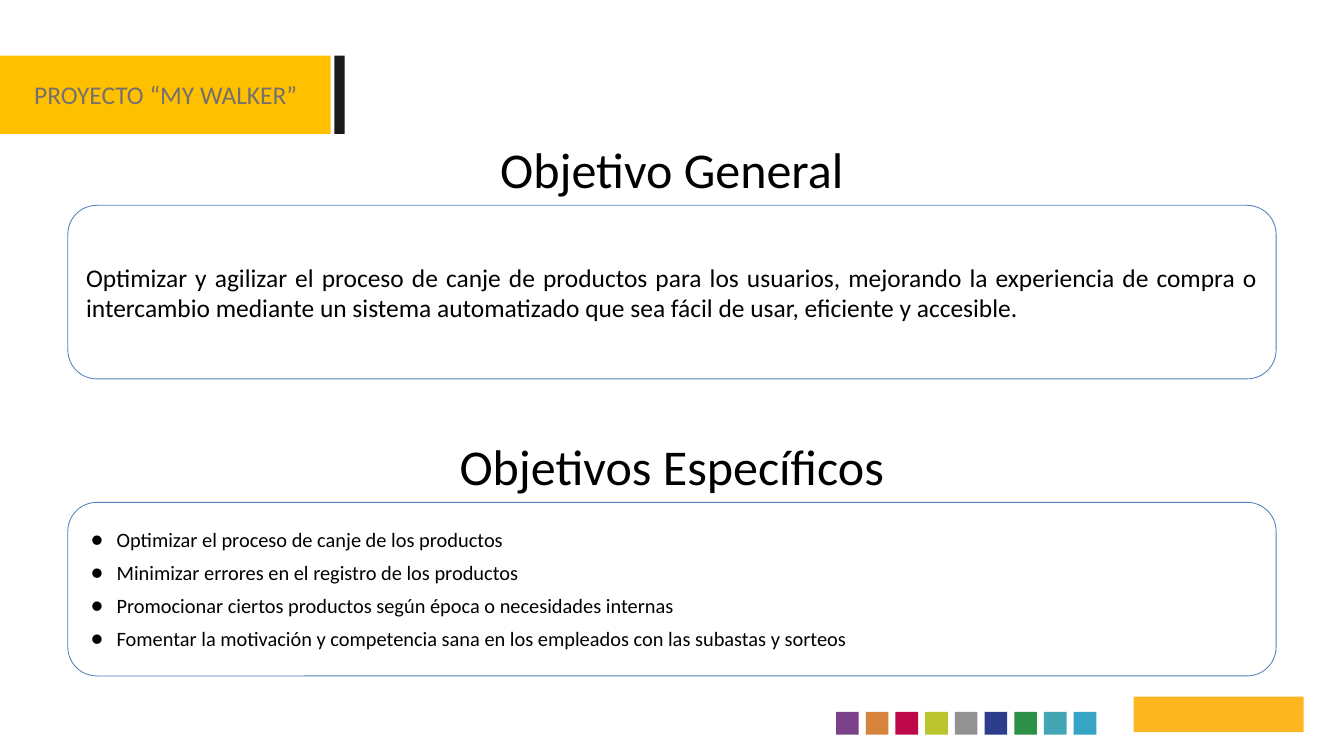
from dataclasses import dataclass

from lxml.etree import SubElement
from pptx import Presentation
from pptx.dml.color import RGBColor
from pptx.enum.shapes import MSO_SHAPE
from pptx.enum.text import MSO_ANCHOR, MSO_AUTO_SIZE, PP_ALIGN
from pptx.oxml.ns import qn
from pptx.shapes.autoshape import Shape
from pptx.slide import Slide
from pptx.text.text import TextFrame
from pptx.util import Inches, Pt


@dataclass(frozen=True)
class Theme:
    font: str = "Calibri"
    heading_size: int = 59
    body_size: int = 30
    list_size: int = 24
    list_gap: int = 10
    text: str = "000000"
    muted: str = "757070"
    panel: str = "FFFFFF"
    outline: str = "4F81BD"
    banner: str = "FFC000"
    banner_edge: str = "1A1A1A"
    emblem: str = "FEB620"
    swatches: tuple[str, ...] = (
        "7B408A", "D6843D", "BD0949", "BAC52E", "929292",
        "2C3E8B", "2C9146", "44A6B5", "35A4C5",
    )


@dataclass(frozen=True)
class Box:
    left: float
    top: float
    width: float
    height: float

    def lengths(self) -> tuple[Inches, Inches, Inches, Inches]:
        return Inches(self.left), Inches(self.top), Inches(self.width), Inches(self.height)


@dataclass(frozen=True)
class Section:
    """A heading over a rounded panel; top is the top of the heading."""
    top: float
    heading: str
    lines: tuple[str, ...]
    bulleted: bool


THEME = Theme()
SLIDE_WIDTH, SLIDE_HEIGHT = 21.99, 12.37
PANEL_OFFSET = 1.18
SWATCH_LEFT, SWATCH_TOP, SWATCH_SIDE, SWATCH_STEP = 13.68, 11.65, 0.37, 0.486

SECTIONS = (
    Section(2.18, "Objetivo General", (
        "Optimizar y agilizar el proceso de canje de productos para los usuarios, "
        "mejorando la experiencia de compra o intercambio mediante un sistema "
        "automatizado que sea fácil de usar, eficiente y accesible.",
    ), bulleted=False),
    Section(7.04, "Objetivos Específicos", (
        "Optimizar el proceso de canje de los productos",
        "Minimizar errores en el registro de los productos",
        "Promocionar ciertos productos según época o necesidades internas",
        "Fomentar la motivación y competencia sana en los empleados con las subastas y sorteos",
    ), bulleted=True),
)


def add_block(slide: Slide, box: Box, color: str,
              kind: MSO_SHAPE = MSO_SHAPE.RECTANGLE) -> Shape:
    block = slide.shapes.add_shape(kind, *box.lengths())
    block.shadow.inherit = False
    block.fill.solid()
    block.fill.fore_color.rgb = RGBColor.from_string(color)
    block.line.fill.background()
    return block


def set_margins(frame: TextFrame) -> None:
    frame.word_wrap = True
    frame.margin_left = frame.margin_right = Inches(0.16)
    frame.margin_top = frame.margin_bottom = Inches(0.08)


def add_run(paragraph, text: str, size: int, color: str) -> None:
    run = paragraph.add_run()
    run.text = text
    run.font.name = THEME.font
    run.font.size = Pt(size)
    run.font.color.rgb = RGBColor.from_string(color)


def add_bullet(paragraph) -> None:
    properties = paragraph._p.get_or_add_pPr()
    properties.set("marL", str(Inches(0.5)))
    properties.set("indent", str(Inches(-0.42)))
    bullet_color = SubElement(properties, qn("a:buClr"))
    SubElement(bullet_color, qn("a:srgbClr"), val=THEME.text)
    SubElement(properties, qn("a:buFont"), typeface=THEME.font)
    SubElement(properties, qn("a:buChar"), char="●")


def add_label(slide: Slide, box: Box, text: str, size: int, color: str,
              align: PP_ALIGN) -> None:
    frame = slide.shapes.add_textbox(*box.lengths()).text_frame
    set_margins(frame)
    frame.auto_size = MSO_AUTO_SIZE.SHAPE_TO_FIT_TEXT
    frame.paragraphs[0].alignment = align
    add_run(frame.paragraphs[0], text, size, color)


def add_section(slide: Slide, section: Section) -> None:
    add_label(slide, Box(0, section.top, SLIDE_WIDTH, 1.16), section.heading,
              THEME.heading_size, THEME.text, PP_ALIGN.CENTER)
    panel = add_block(slide, Box(1.11, section.top + PANEL_OFFSET, 19.77, 2.84),
                      THEME.panel, MSO_SHAPE.ROUNDED_RECTANGLE)
    panel.line.color.rgb = RGBColor.from_string(THEME.outline)
    panel.line.width = Pt(1)
    frame = panel.text_frame
    set_margins(frame)
    frame.vertical_anchor = MSO_ANCHOR.MIDDLE
    for index, line in enumerate(section.lines):
        paragraph = frame.add_paragraph() if index else frame.paragraphs[0]
        if section.bulleted:
            add_bullet(paragraph)
        paragraph.alignment = PP_ALIGN.LEFT if section.bulleted else PP_ALIGN.JUSTIFY
        if index:
            paragraph.space_before = Pt(THEME.list_gap)
        add_run(paragraph, line,
                THEME.list_size if section.bulleted else THEME.body_size, THEME.text)
    if section.bulleted:
        frame.paragraphs[-1].space_after = Pt(THEME.list_gap)


def main() -> None:
    deck = Presentation()
    deck.slide_width, deck.slide_height = Inches(SLIDE_WIDTH), Inches(SLIDE_HEIGHT)
    slide = deck.slides.add_slide(deck.slide_layouts[6])

    add_block(slide, Box(0, 0.91, 5.41, 1.28), THEME.banner)
    add_block(slide, Box(5.47, 0.91, 0.17, 1.28), THEME.banner_edge)
    add_block(slide, Box(18.55, 11.4, 2.78, 0.58), THEME.emblem)
    for index, color in enumerate(THEME.swatches):
        left = SWATCH_LEFT + index * SWATCH_STEP
        add_block(slide, Box(left, SWATCH_TOP, SWATCH_SIDE, SWATCH_SIDE), color)

    add_label(slide, Box(0.4, 1.21, 4.67, 0.67), "PROYECTO “MY WALKER”",
              THEME.body_size, THEME.muted, PP_ALIGN.LEFT)
    for section in SECTIONS:
        add_section(slide, section)
    deck.save("out.pptx")


if __name__ == "__main__":
    main()
